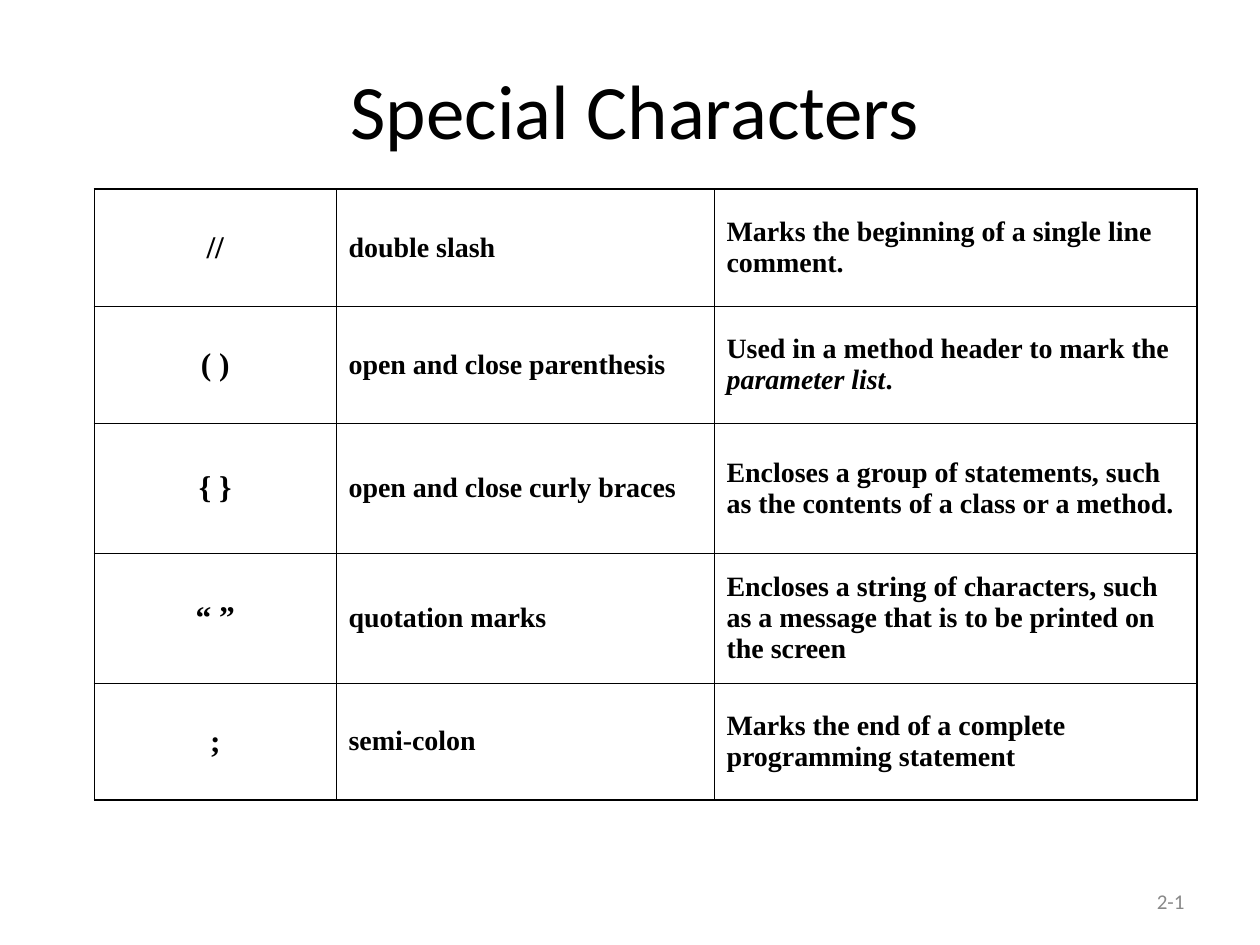
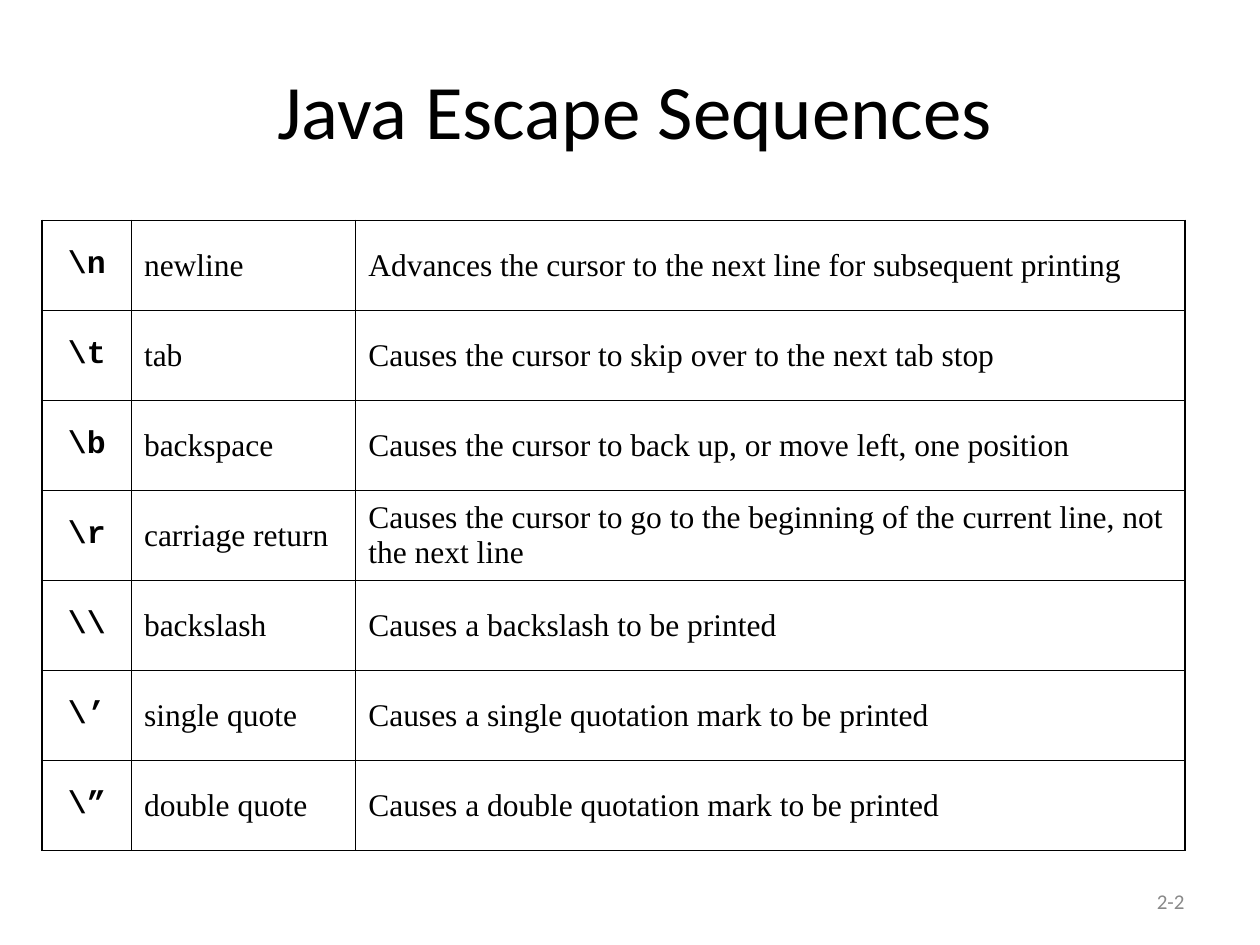
from lxml.etree import SubElement
from pptx import Presentation
from pptx.dml.color import RGBColor
from pptx.enum.shapes import MSO_SHAPE
from pptx.enum.text import MSO_ANCHOR, PP_ALIGN
from pptx.oxml.ns import qn
from pptx.util import Inches, Pt

COLORS = {"text": "000000", "border": "000000", "page": "898989", "band": "FFFFFF"}
HEADING, BODY, CODE = "Calibri", "Times New Roman", "Courier New"
OUTER, INNER = 1.08, 0.45


class Deck:
    """Holds the shared style and the current slide."""

    def __init__(self):
        """Start an empty 10 by 7.5 inch presentation."""
        self.prs = Presentation()
        self.prs.slide_width, self.prs.slide_height = Inches(10), Inches(7.5)
        self.s = None

    def style(self, p, font, size, color="text", bold=False, align=PP_ALIGN.LEFT):
        """Format a paragraph and all its runs."""
        p.alignment = align
        for r in p.runs:
            r.font.name, r.font.size, r.font.bold = font, Pt(size), bold
            r.font.color.rgb = RGBColor.from_string(COLORS[color])

    def slide(self, title, page):
        """Add a slide with its title and page number."""
        self.s = self.prs.slides.add_slide(self.prs.slide_layouts[5])
        box = self.s.shapes.add_textbox(
            Inches(7.17), Inches(6.95), Inches(2.33), Inches(0.4))
        self.label(box, page, 12, "page", PP_ALIGN.RIGHT)
        sp = self.s.shapes.title
        sp.left, sp.top = Inches(0.33), Inches(0.32)
        sp.width, sp.height = Inches(9.42), Inches(1.09)
        self.label(sp, title, 44, "text", PP_ALIGN.CENTER)

    def label(self, sp, text, size, color, align):
        """Write one line in the heading font, centred vertically."""
        tf = sp.text_frame
        tf.text = text
        tf.word_wrap = True
        tf.vertical_anchor = MSO_ANCHOR.MIDDLE
        self.style(tf.paragraphs[0], HEADING, size, color, align=align)

    def footer_band(self):
        """Add the plain band along the bottom edge."""
        sp = self.s.shapes.add_shape(
            MSO_SHAPE.RECTANGLE, 0, Inches(7.11), Inches(6.02), Inches(0.39))
        sp.shadow.inherit = False
        sp.fill.solid()
        sp.fill.fore_color.rgb = RGBColor.from_string(COLORS["band"])
        sp.line.color.rgb = RGBColor.from_string(COLORS["band"])
        sp.line.width = Pt(0.74)

    def border(self, cell, side, width):
        """Draw one side (L, R, T or B) of a cell."""
        ln = SubElement(cell._tc.get_or_add_tcPr(), qn(f"a:ln{side}"), w=str(Pt(width)))
        fill = SubElement(ln, qn("a:solidFill"))
        SubElement(fill, qn("a:srgbClr"), val=COLORS["border"])

    def table(self, left, top, widths, heights, rows, symbol, words):
        """Add a ruled table; symbol styles column one, words the others."""
        frame = self.s.shapes.add_table(
            len(rows), len(widths), Inches(left), Inches(top),
            Inches(sum(widths)), Inches(sum(heights)))
        table = frame.table
        table.first_row = table.horz_banding = False
        for column, width in zip(table.columns, widths):
            column.width = Inches(width)
        for row, height in zip(table.rows, heights):
            row.height = Inches(height)
        for i, row in enumerate(rows):
            for j, text in enumerate(row):
                cell = table.cell(i, j)
                edges = {"L": j == 0, "R": j == len(widths) - 1,
                         "T": i == 0, "B": i == len(rows) - 1}
                for side, is_edge in edges.items():
                    self.border(cell, side, OUTER if is_edge else INNER)
                cell.fill.background()
                cell.vertical_anchor = MSO_ANCHOR.MIDDLE
                self.cell_text(cell, text, symbol if j == 0 else words)

    def cell_text(self, cell, text, look):
        """Write a cell's text; parts between asterisks are italic."""
        p = cell.text_frame.paragraphs[0]
        for k, part in enumerate(text.split("*")):
            r = p.add_run()
            r.text = part
            r.font.italic = k % 2 == 1
        self.style(p, **look)


SPECIAL_CHARACTERS = [
    ("//", "double slash", "Marks the beginning of a single line comment."),
    ("( )", "open and close parenthesis",
     "Used in a method header to mark the *parameter list*."),
    ("{ }", "open and close curly braces",
     "Encloses a group of statements, such as the contents of a class or a method."),
    ("“ ”", "quotation marks",
     "Encloses a string of characters, such as a message that is to be "
     "printed on the screen"),
    (";", "semi-colon", "Marks the end of a complete programming statement"),
]
ESCAPE_SEQUENCES = [
    ("\\n", "newline", "Advances the cursor to the next line for subsequent printing"),
    ("\\t", "tab", "Causes the cursor to skip over to the next tab stop"),
    ("\\b", "backspace", "Causes the cursor to back up, or move left, one position"),
    ("\\r", "carriage return",
     "Causes the cursor to go to the beginning of the current line, not the next line"),
    ("\\\\", "backslash", "Causes a backslash to be printed"),
    ("\\’", "single quote", "Causes a single quotation mark to be printed"),
    ("\\”", "double quote", "Causes a double quotation mark to be printed"),
]

deck = Deck()

deck.slide("Special Characters", "2-1")
deck.table(0.75, 1.5, [23 / 12, 3, 23 / 6], [0.93, 0.93, 1.03, 1.03, 0.93],
           SPECIAL_CHARACTERS,
           symbol=dict(font=BODY, size=18, bold=True, align=PP_ALIGN.CENTER),
           words=dict(font=BODY, size=16, bold=True))
deck.footer_band()

deck.slide("Java Escape Sequences", "2-2")
deck.table(1 / 3, 1.75, [0.71, 1.78, 6.58], [5 / 7] * 7,
           ESCAPE_SEQUENCES,
           symbol=dict(font=CODE, size=18, bold=True, align=PP_ALIGN.CENTER),
           words=dict(font=BODY, size=18))
deck.footer_band()

deck.prs.save("out.pptx")
